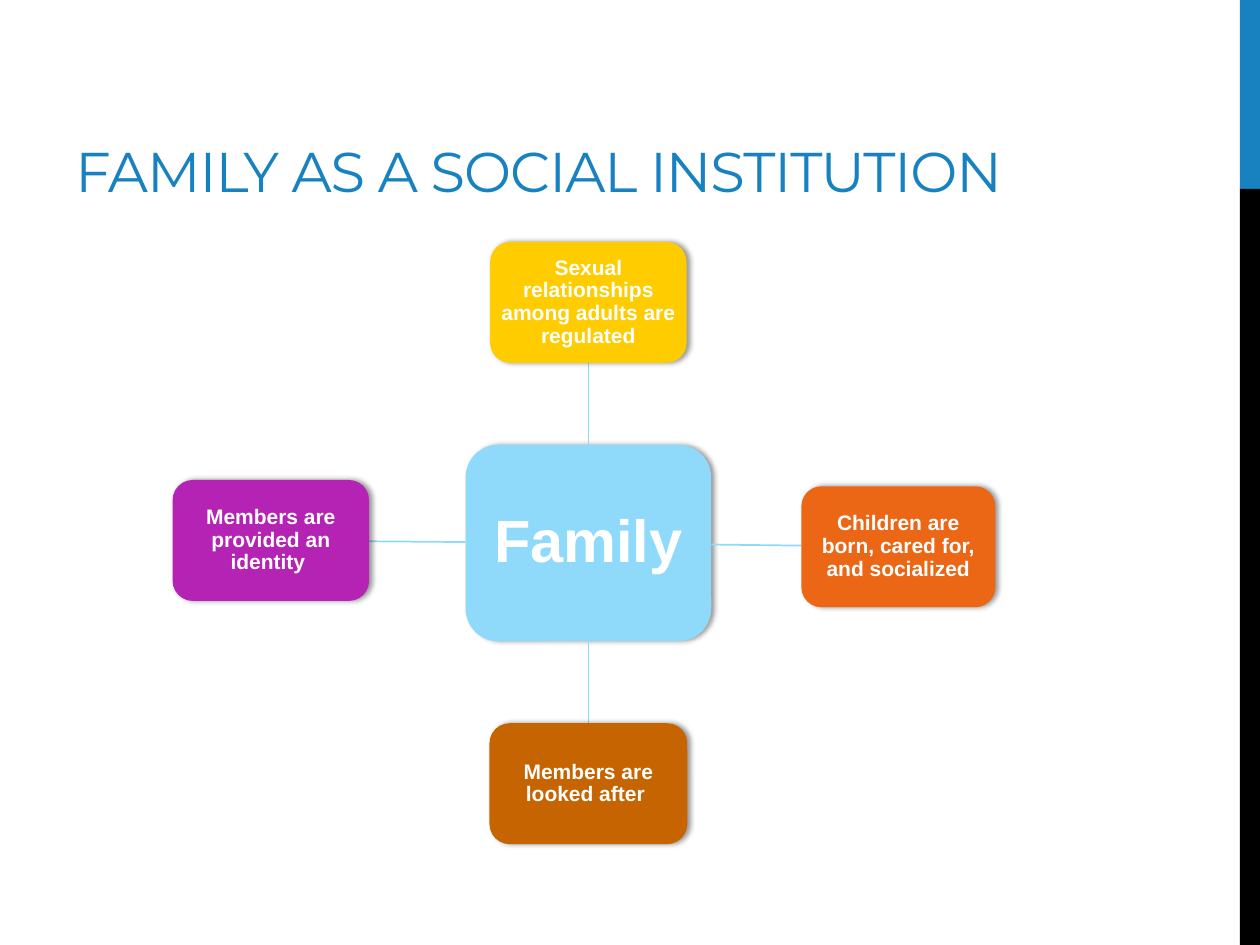
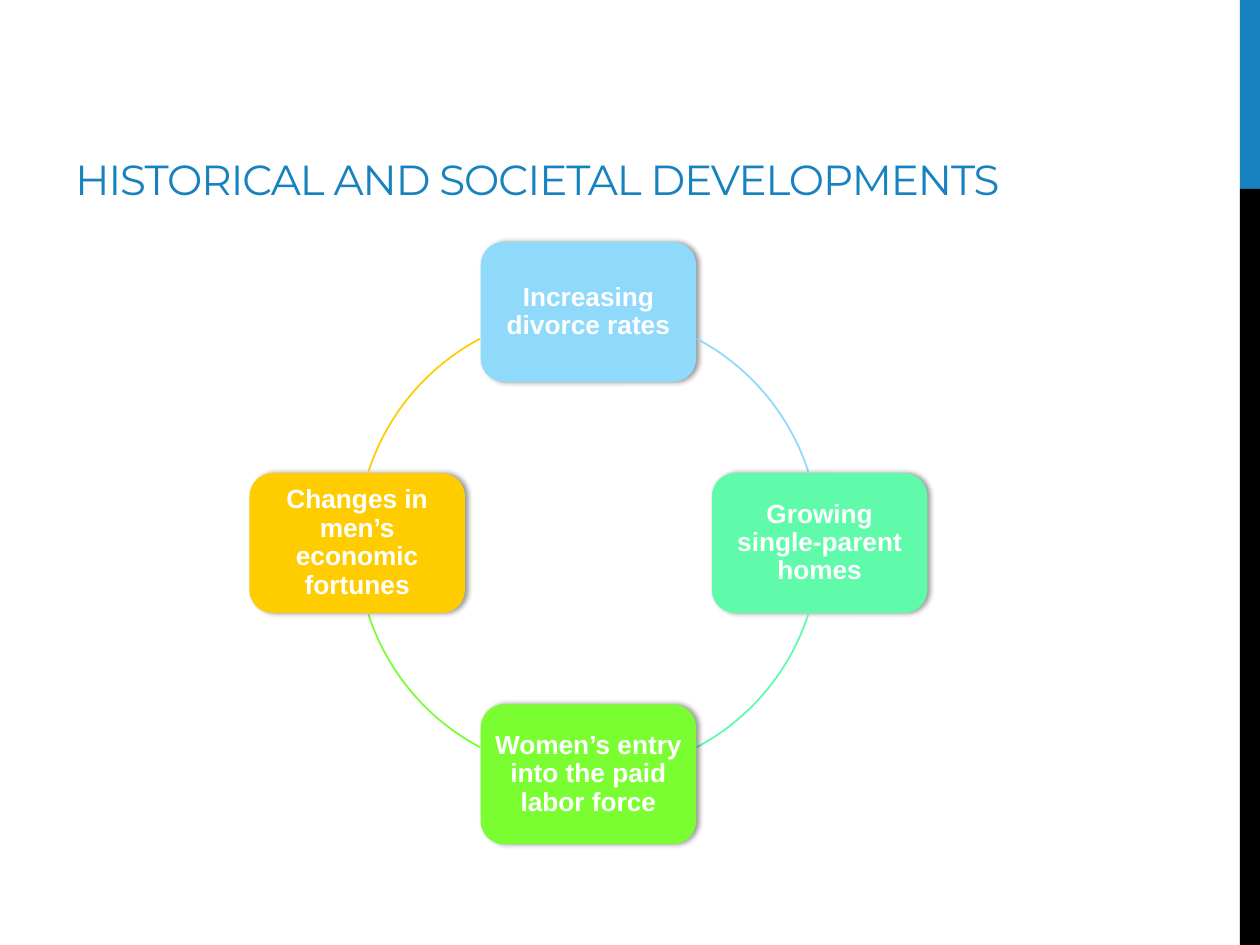
import pptx
import pptx.util
from lxml import etree
from pptx.dml.color import RGBColor
from pptx.enum.shapes import MSO_CONNECTOR, MSO_SHAPE
from pptx.enum.text import MSO_ANCHOR, PP_ALIGN
from pptx.oxml.ns import qn

Inches, Pt = pptx.util.Inches, pptx.util.Pt

# Colours
BLUE = RGBColor(0x17, 0x82, 0xBF)
BLACK = RGBColor(0x00, 0x00, 0x00)
WHITE = RGBColor(0xFF, 0xFF, 0xFF)
SKY = RGBColor(0x8F, 0xD9, 0xFB)
YELLOW = RGBColor(0xFF, 0xCC, 0x00)
ORANGE = RGBColor(0xEB, 0x66, 0x15)
BROWN = RGBColor(0xC7, 0x64, 0x02)
PURPLE = RGBColor(0xB5, 0x23, 0xB4)
MINT = RGBColor(0x60, 0xFB, 0xAA)
GREEN = RGBColor(0x7A, 0xFD, 0x31)

# Content: spokes are (text, colour, width, offset of centre from the hub)
FAMILY_TITLE = ("FAMILY AS A SOCIAL INSTITUTION", 32)
HUB = ("Family", SKY)
SPOKES = [
    ("Sexual relationships among adults are regulated", YELLOW, 1.56, (0, -1.91)),
    ("Children are born, cared for, and socialized", ORANGE, 1.54, (2.46, 0.03)),
    ("Members are looked after ", BROWN, 1.57, (0, 1.91)),
    ("Members are provided an identity ", PURPLE, 1.56, (-2.52, -0.02)),
]

# Content: the cycle runs clockwise from the top
CYCLE_TITLE = ("HISTORICAL AND SOCIETAL DEVELOPMENTS", 24)
CYCLE = [
    ("Increasing divorce rates", SKY),
    ("Growing single-parent homes", MINT),
    ("Women’s entry into the paid labor force", GREEN),
    ("Changes in men’s economic fortunes", YELLOW),
]

# Layout, in inches
WIDTH, HEIGHT = 10, 7.5
BAND_W = 0.16
CENTRE = (4.67, 4.31)
HUB_SIZE, SPOKE_H = (1.95, 1.56), 0.96
CYCLE_SIZE, RADIUS = (1.71, 1.11), 1.835
COMPASS = [(0, -1), (1, 0), (0, 1), (-1, 0)]
# Degrees left free on the ring beside top/bottom boxes and side boxes
POLE_GAP, SIDE_GAP = 28, 18


def add_effects(shape, shadow):
    """Give a shape a soft shadow to the right, or no effect at all."""
    effects = etree.SubElement(shape._element.spPr, qn("a:effectLst"))
    if shadow:
        outer = etree.SubElement(effects, qn("a:outerShdw"), blurRad=str(Pt(3.1)),
                                 dist=str(Pt(1.8)), dir="0", rotWithShape="0")
        colour = etree.SubElement(outer, qn("a:srgbClr"), val=str(BLACK))
        etree.SubElement(colour, qn("a:alpha"), val="40000")


def add_block(s, kind, centre, size, fill):
    (x, y), (w, h) = centre, size
    sp = s.shapes.add_shape(kind, Inches(x - w / 2), Inches(y - h / 2), Inches(w), Inches(h))
    sp.fill.solid()
    sp.fill.fore_color.rgb = fill
    sp.line.fill.background()
    return sp


def add_box(s, text, fill, centre, size, points, inset):
    sp = add_block(s, MSO_SHAPE.ROUNDED_RECTANGLE, centre, size, fill)
    add_effects(sp, shadow=True)
    tf = sp.text_frame
    tf.word_wrap = True
    tf.vertical_anchor = MSO_ANCHOR.MIDDLE
    tf.margin_left = tf.margin_right = tf.margin_top = tf.margin_bottom = Inches(inset)
    p = tf.paragraphs[0]
    p.text = text
    p.alignment = PP_ALIGN.CENTER
    p.line_spacing = 0.9
    p.font.name, p.font.size, p.font.bold = "Arial", Pt(points), True
    p.font.color.rgb = WHITE


def add_slide(prs, title, points):
    """Start a slide with the side bands and the title."""
    s = prs.slides.add_slide(prs.slide_layouts[6])
    split = HEIGHT / 5
    for top, bottom, colour in [(0, split, BLUE), (split, HEIGHT, BLACK)]:
        band = add_block(s, MSO_SHAPE.RECTANGLE, (WIDTH - BAND_W / 2, (top + bottom) / 2),
                         (BAND_W, bottom - top), colour)
        band.shadow.inherit = False
    tf = s.shapes.add_textbox(Inches(0.5), Inches(0.17), Inches(9.25), Inches(1.5)).text_frame
    tf.word_wrap = True
    tf.vertical_anchor = MSO_ANCHOR.BOTTOM
    p = tf.paragraphs[0]
    r = p.add_run()
    r.text = title
    p.font.name, p.font.size = "Montserrat", Pt(points)
    p.font.color.rgb = BLUE
    r.font._element.set("spc", "-60")
    return s


def edge_point(centre, size, direction):
    """Where a ray from the centre of a box leaves it."""
    t = min(side / 2 / abs(d) for side, d in zip(size, direction) if d)
    return [Inches(c + t * d) for c, d in zip(centre, direction)]


def build_family(prs):
    s = add_slide(prs, *FAMILY_TITLE)
    add_box(s, *HUB, CENTRE, HUB_SIZE, 34, 0.09)
    for text, colour, width, (dx, dy) in SPOKES:
        centre, size = (CENTRE[0] + dx, CENTRE[1] + dy), (width, SPOKE_H)
        line = s.shapes.add_connector(MSO_CONNECTOR.STRAIGHT,
                                      *edge_point(CENTRE, HUB_SIZE, (dx, dy)),
                                      *edge_point(centre, size, (-dx, -dy)))
        line.line.color.rgb = SKY
        line.line.width = Pt(1)
        add_effects(line, shadow=False)
        add_box(s, text, colour, centre, size, 12, 0.03)


def build_cycle(prs):
    s = add_slide(prs, *CYCLE_TITLE)
    for i, ((text, colour), (dx, dy)) in enumerate(zip(CYCLE, COMPASS)):
        centre = (CENTRE[0] + RADIUS * dx, CENTRE[1] + RADIUS * dy)
        add_box(s, text, colour, centre, CYCLE_SIZE, 15, 0.06)
        # Ring segment to the next box, angles clockwise from the right
        start = (270 + 90 * i) % 360
        gaps = (POLE_GAP, SIDE_GAP) if dy else (SIDE_GAP, POLE_GAP)
        arc = add_block(s, MSO_SHAPE.ARC, CENTRE, (2 * RADIUS, 2 * RADIUS), colour)
        arc.fill.background()
        arc.line.color.rgb = colour
        arc.line.width = Pt(1)
        arc.shadow.inherit = False
        # An adjustment of 0.6 is one degree
        arc.adjustments[0] = 0.6 * (start + gaps[0])
        arc.adjustments[1] = 0.6 * (start + 90 - gaps[1])


def main():
    prs = pptx.Presentation()
    prs.slide_width, prs.slide_height = Inches(WIDTH), Inches(HEIGHT)
    build_family(prs)
    build_cycle(prs)
    prs.save("out.pptx")


if __name__ == "__main__":
    main()
